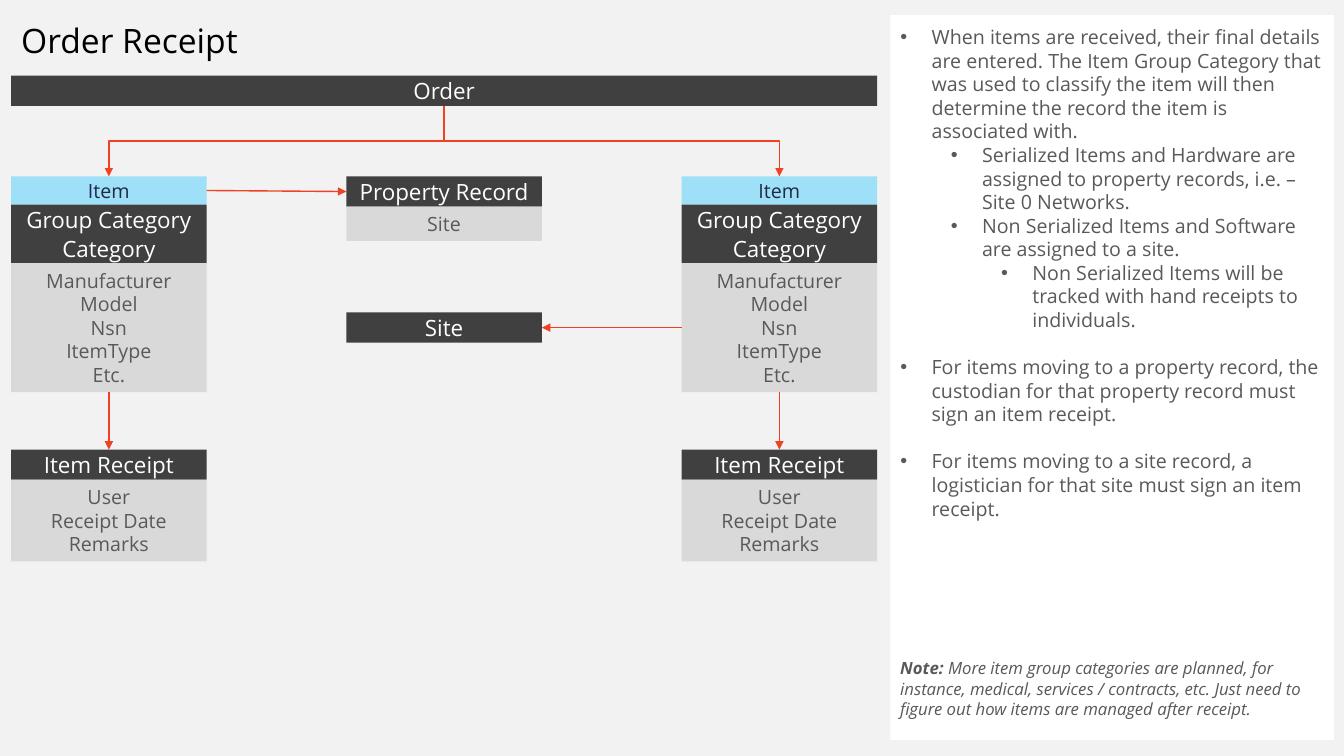
from dataclasses import dataclass
from lxml import etree
from pptx import Presentation
from pptx.dml.color import RGBColor
from pptx.enum.shapes import MSO_CONNECTOR, MSO_SHAPE
from pptx.enum.text import MSO_ANCHOR, MSO_AUTO_SIZE, PP_ALIGN
from pptx.oxml.ns import qn
from pptx.util import Inches, Pt


@dataclass(frozen=True)
class Theme:
    font: str = "Open Sans"
    background: str = "F2F2F2"
    panel: str = "FFFFFF"
    black: str = "000000"
    body: str = "595959"
    arrow: str = "F14124"
    title_size: int = 24
    header_size: int = 16
    body_size: int = 14
    note_size: int = 12
    gap: int = 17


THEME = Theme()
ROW_STYLES = {
    "header": ("404040", "FFFFFF", THEME.header_size),
    "item": ("9EE0F8", "212745", THEME.body_size),
    "fields": ("D9D9D9", THEME.body, THEME.body_size),
}

TITLE = "Order Receipt"
ITEM_ROWS = [
    ("item", ["Item"], 0.28),
    ("header", ["Group Category"], 0.29),
    ("header", ["Category"], 0.29),
    ("fields", ["Manufacturer", "Model", "Nsn", "ItemType", "Etc."], 1.28),
]
RECEIPT_ROWS = [
    ("header", ["Item Receipt"], 0.3),
    ("fields", ["User", "Receipt Date", "Remarks"], 0.81),
]
PROPERTY_ROWS = [("header", ["Property Record"], 0.3), ("fields", ["Site"], 0.34)]
SITE_ROWS = [("header", ["Site"], 0.3)]
BULLETS = [
    (0, "When items are received, their final details are entered. The Item Group Category "
        "that was used to classify the item will then determine the record the item is "
        "associated with."),
    (1, "Serialized Items and Hardware are assigned to property records, i.e. – "
        "Site 0 Networks."),
    (1, "Non Serialized Items and Software are assigned to a site."),
    (2, "Non Serialized Items will be tracked with hand receipts to individuals."),
    (0, "For items moving to a property record, the custodian for that property record "
        "must sign an item receipt."),
    (0, "For items moving to a site record, a logistician for that site must sign an "
        "item receipt."),
]
NOTE = [
    ("Note: ", True),
    ("More item group categories are planned, for instance, medical, services / contracts, "
     "etc. Just need to figure out how items are managed after receipt.", False),
]

LEFT, DIAGRAM_WIDTH, BOX_WIDTH = 0.11, 8.59, 1.94
COLUMNS = [LEFT + i * (DIAGRAM_WIDTH - BOX_WIDTH) / 2 for i in range(3)]
ORDER_TOP, ITEM_TOP, SITE_TOP, RECEIPT_TOP = 0.75, 1.75, 3.1, 4.46
PANEL = (8.83, 0.15, 4.4, 7.19)
NOTE_TOP, NOTE_HEIGHT = 6.48, 0.8
TOP_SITE, LEFT_SITE, BOTTOM_SITE, RIGHT_SITE = range(4)


def place(shape, x, y, w, h):
    shape.left, shape.top, shape.width, shape.height = map(Inches, (x, y, w, h))


def fill(target, color):
    target.fill.solid()
    target.fill.fore_color.rgb = RGBColor.from_string(color)


def style(font, size, color):
    font.name, font.size = THEME.font, Pt(size)
    font.color.rgb = RGBColor.from_string(color)


def add_row(x, y, w, h, kind, lines):
    background, color, size = ROW_STYLES[kind]
    box = slide.shapes.add_shape(MSO_SHAPE.RECTANGLE, *map(Inches, (x, y, w, h)))
    box.shadow.inherit = False
    fill(box, background)
    box.line.fill.background()
    frame = box.text_frame
    frame.text = "\n".join(lines)
    frame.word_wrap = True
    frame.vertical_anchor = MSO_ANCHOR.MIDDLE
    for paragraph in frame.paragraphs:
        paragraph.alignment = PP_ALIGN.CENTER
        style(paragraph.runs[0].font, size, color)
    return box


def add_stack(x, y, rows):
    boxes = []
    for kind, lines, height in rows:
        boxes.append(add_row(x, y, BOX_WIDTH, height, kind, lines))
        y += height
    return boxes


def add_arrow(start, start_site, end, end_site, kind=MSO_CONNECTOR.STRAIGHT):
    arrow = slide.shapes.add_connector(kind, 0, 0, 0, 0)
    arrow.begin_connect(start, start_site)
    arrow.end_connect(end, end_site)
    arrow.line.color.rgb = RGBColor.from_string(THEME.arrow)
    arrow.line.width = Pt(1)
    properties = arrow._element.spPr
    line = properties.find(qn("a:ln"))
    etree.SubElement(line, qn("a:tailEnd"), type="triangle")
    etree.SubElement(properties, qn("a:effectLst"))
    return arrow


def add_branch(start, end):
    arrow = add_arrow(start, BOTTOM_SITE, end, TOP_SITE, MSO_CONNECTOR.ELBOW)
    goes_left = arrow.begin_x > arrow.end_x
    x, y, w, h = arrow.left, arrow.top, arrow.width, arrow.height
    arrow.left, arrow.top = x + (w - h) // 2, y + (h - w) // 2
    arrow.width, arrow.height = h, w
    transform = arrow._element.spPr.find(qn("a:xfrm"))
    transform.set("rot", str((90 if goes_left else 270) * 60000))
    transform.set("flipH", "0" if goes_left else "1")


def add_bullet(paragraph, level, text):
    paragraph.level = level
    paragraph.space_before = Pt(0)
    style_run = paragraph.add_run()
    style_run.text = text
    style(style_run.font, THEME.body_size, THEME.body)
    properties = paragraph._p.get_or_add_pPr()
    properties.set("marL", str(Inches(0.31 + 0.5 * level)))
    properties.set("indent", str(-Inches(0.31)))
    etree.SubElement(properties, qn("a:buFont"), typeface="Arial")
    etree.SubElement(properties, qn("a:buChar"), char="•")


prs = Presentation()
prs.slide_width, prs.slide_height = Inches(13.33), Inches(7.5)
slide = prs.slides.add_slide(prs.slide_layouts[1])
fill(slide.background, THEME.background)

title, panel = slide.shapes.title, slide.placeholders[1]
place(title, LEFT, 0.15, DIAGRAM_WIDTH, 0.5)
title.text = TITLE
title.text_frame.vertical_anchor = MSO_ANCHOR.MIDDLE
title.text_frame.paragraphs[0].alignment = PP_ALIGN.LEFT
style(title.text_frame.paragraphs[0].runs[0].font, THEME.title_size, THEME.black)

place(panel, *PANEL)
fill(panel, THEME.panel)
frame = panel.text_frame
frame.auto_size = MSO_AUTO_SIZE.NONE
frame.margin_left = frame.margin_right = frame.margin_top = frame.margin_bottom = Inches(0.1)
previous_level = 0
for index, (level, text) in enumerate(BULLETS):
    paragraph = frame.add_paragraph() if index else frame.paragraphs[0]
    add_bullet(paragraph, level, text)
    if index and level == 0:
        paragraph.space_before = Pt(THEME.gap)

note = slide.shapes.add_textbox(*map(Inches, (PANEL[0], NOTE_TOP, PANEL[2], NOTE_HEIGHT)))
note.text_frame.word_wrap = True
for text, bold in NOTE:
    run = note.text_frame.paragraphs[0].add_run()
    run.text = text
    style(run.font, THEME.note_size, THEME.body)
    run.font.bold, run.font.italic = bold, True

order = add_row(LEFT, ORDER_TOP, DIAGRAM_WIDTH, 0.3, "header", ["Order"])
property_record = add_stack(COLUMNS[1], ITEM_TOP, PROPERTY_ROWS)
site = add_stack(COLUMNS[1], SITE_TOP, SITE_ROWS)
items = []
for x in (COLUMNS[0], COLUMNS[2]):
    item = add_stack(x, ITEM_TOP, ITEM_ROWS)
    receipt = add_stack(x, RECEIPT_TOP, RECEIPT_ROWS)
    add_arrow(item[-1], BOTTOM_SITE, receipt[0], TOP_SITE)
    add_branch(order, item[0])
    items.append(item)
add_arrow(items[0][0], RIGHT_SITE, property_record[0], LEFT_SITE)
add_arrow(items[1][-1], LEFT_SITE, site[0], RIGHT_SITE)

prs.save("out.pptx")
